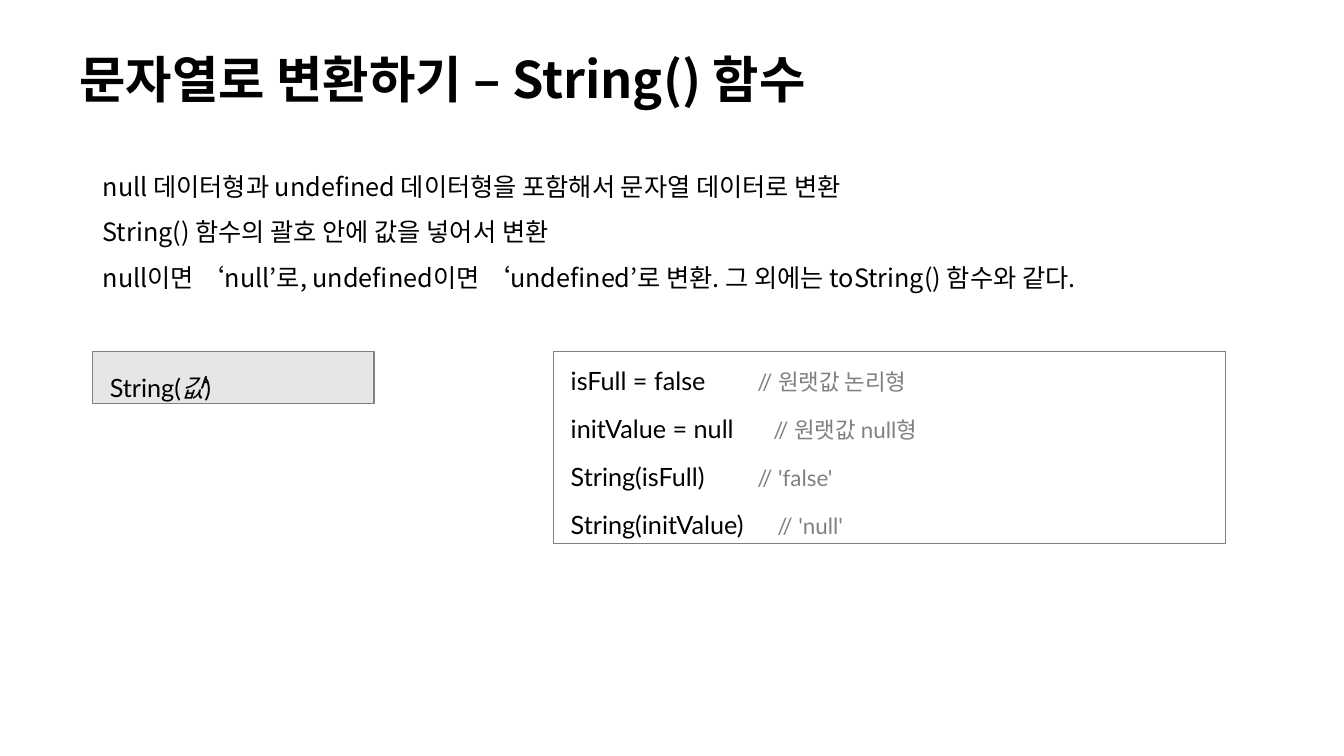
from lxml.etree import SubElement
from pptx import Presentation
from pptx.dml.color import RGBColor
from pptx.enum.shapes import MSO_SHAPE as Shape
from pptx.enum.text import MSO_ANCHOR as Anchor, PP_ALIGN as Align
from pptx.oxml.ns import qn
from pptx.util import Inches, Pt

COLORS = {"ink": "000000", "comment": "808080", "border": "808080", "syntax": "E7E6E6"}
KOREAN, CODE = "Noto Sans CJK KR", "Lato"

deck = Presentation()
deck.slide_width, deck.slide_height = Inches(13.33), Inches(7.5)
page = deck.slides.add_slide(deck.slide_layouts[6])
column, row = deck.slide_width / 100, deck.slide_height / 100


def add_box(left, top, width, height, fill=None, framed=False):
    area = int(left * column), int(top * row), int(width * column), int(height * row)
    if framed:
        box = page.shapes.add_shape(Shape.RECTANGLE, *area)
        box.shadow.inherit = False
        box.line.color.rgb = RGBColor.from_string(COLORS["border"])
        box.line.width = Pt(0.75)
        if fill:
            box.fill.solid()
            box.fill.fore_color.rgb = RGBColor.from_string(COLORS[fill])
        else:
            box.fill.background()
        box.text_frame.margin_left = Inches(0.17)
    else:
        box = page.shapes.add_textbox(*area)
    box.text_frame.word_wrap = True
    box.text_frame.vertical_anchor = Anchor.TOP
    return box.text_frame


def add_line(frame, index, spacing, spans, gap=0):
    para = frame.add_paragraph() if index else frame.paragraphs[0]
    para.alignment = Align.LEFT
    para.line_spacing = spacing
    para.space_before = para.space_after = Pt(gap)
    for text, size, font, color, bold, italic in spans:
        span = para.add_run()
        span.text = text
        span.font.size = Pt(size)
        span.font.name = font
        span.font.bold, span.font.italic = bold, italic
        span.font.color.rgb = RGBColor.from_string(COLORS[color])
        SubElement(span.font._element, qn("a:ea"), typeface=KOREAN)
    return para


title = add_box(5.18, 4.67, 73.07, 12.27)
title.vertical_anchor = Anchor.MIDDLE
add_line(title, 0, 0.9, [("문자열로 변환하기 – String() 함수", 36, KOREAN, "ink", True, False)])

explanations = [
    "null 데이터형과 undefined 데이터형을 포함해서 문자열 데이터로 변환",
    "String() 함수의 괄호 안에 값을 넣어서 변환",
    "null이면 ‘null’로, undefined이면 ‘undefined’로 변환. 그 외에는 toString() 함수와 같다.",
]
body = add_box(6.9, 20, 79.37, 18.8)
for index, sentence in enumerate(explanations):
    add_line(body, index, 1.5, [(sentence, 18, KOREAN, "ink", False, False)])

syntax = add_box(6.9, 46.53, 20.93, 6.8, "syntax", framed=True)
syntax_parts = [("String(", False), ("값", True), (")", False)]
add_line(syntax, 0, 1.5, [(text, 18, CODE, "ink", False, italic) for text, italic in syntax_parts], 3)

statements = [
    ("isFull = false", "// 원랫값 논리형", 1.85),
    ("initValue = null", "// 원랫값 null형", 2.01),
    ("String(isFull)", "// 'false'", 1.85),
    ("String(initValue)", "// 'null'", 2.05),
]
example = add_box(41.19, 46.53, 50, 25.33, framed=True)
for index, (statement, comment, stop) in enumerate(statements):
    para = add_line(example, index, 1.3, [
        (statement + "\t", 18, CODE, "ink", False, False),
        (comment, 16, CODE, "comment", False, False),
    ], 3)
    tabs = SubElement(para._p.get_or_add_pPr(), qn("a:tabLst"))
    SubElement(tabs, qn("a:tab"), pos=str(Inches(stop)), algn="l")

deck.save("out.pptx")
